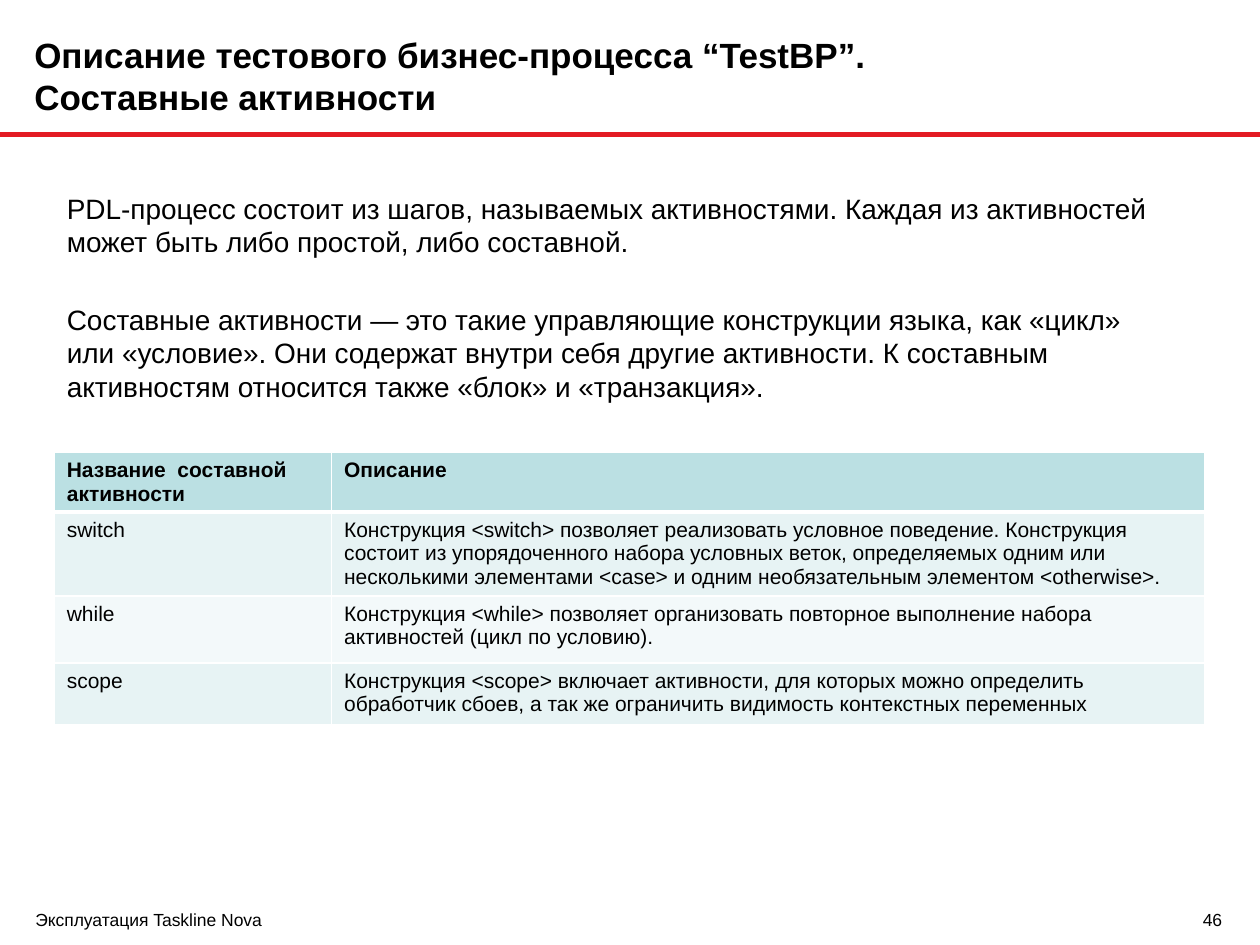
from lxml import etree
from pptx import Presentation
from pptx.dml.color import RGBColor
from pptx.enum.shapes import MSO_CONNECTOR
from pptx.enum.text import MSO_ANCHOR, MSO_AUTO_SIZE, PP_ALIGN
from pptx.oxml.ns import qn
from pptx.util import Pt

STRAIGHT = MSO_CONNECTOR.STRAIGHT
MIDDLE, BOTTOM = MSO_ANCHOR.MIDDLE, MSO_ANCHOR.BOTTOM
LEFT, RIGHT = PP_ALIGN.LEFT, PP_ALIGN.RIGHT
NO_AUTOFIT = MSO_AUTO_SIZE.NONE

FONT = "Arial"
COLORS = {
    "text": "000000",
    "rule": "E31B23",
    "border": "FFFFFF",
    "header": "BBE0E3",
    "odd_row": "E7F3F4",
    "even_row": "F3F9FA",
}

TITLE = "Описание тестового бизнес-процесса “TestBP”. \vСоставные активности"
BODY = [
    "PDL-процесс состоит из шагов, называемых активностями. Каждая из активностей "
    "может быть либо простой, либо составной.",
    "Составные активности — это такие управляющие конструкции языка, как «цикл» "
    "или «условие». Они содержат внутри себя другие активности. К составным "
    "активностям относится также «блок» и «транзакция».",
]
ACTIVITIES = [
    ("Название  составной активности", "Описание"),
    ("switch",
     "Конструкция <switch> позволяет реализовать условное поведение. Конструкция "
     "состоит из упорядоченного набора условных веток, определяемых одним или "
     "несколькими элементами <case> и одним необязательным элементом <otherwise>."),
    ("while",
     "Конструкция <while> позволяет организовать повторное выполнение набора "
     "активностей (цикл по условию)."),
    ("scope",
     "Конструкция <scope> включает активности, для которых можно определить "
     "обработчик сбоев, а так же ограничить видимость контекстных переменных"),
]
COLUMN_SHARES = [0.241, 0.759]
ROW_HEIGHTS = [33.8, 48, 38.2, 35.3]


def color(name):
    return RGBColor.from_string(COLORS[name])


def place(shape, box):
    shape.left, shape.top, shape.width, shape.height = (Pt(length) for length in box)


def format_text(text_frame, size, bold=False, align=LEFT):
    for paragraph in text_frame.paragraphs:
        paragraph.alignment = align
        for run in paragraph.runs:
            run.font.name = FONT
            run.font.size = Pt(size)
            run.font.bold = bold
            run.font.color.rgb = color("text")


def set_frame(text_frame, anchor):
    text_frame.word_wrap = True
    text_frame.auto_size = NO_AUTOFIT
    text_frame.vertical_anchor = anchor
    text_frame.margin_left = text_frame.margin_right = 0
    text_frame.margin_top = text_frame.margin_bottom = 0


def add_title(slide, box):
    title = slide.shapes.title
    place(title, box)
    title.text_frame.text = TITLE
    set_frame(title.text_frame, MIDDLE)
    format_text(title.text_frame, 20, bold=True)


def add_rule(slide, left, top, width):
    rule = slide.shapes.add_connector(STRAIGHT, Pt(left), Pt(top), Pt(left + width), Pt(top))
    rule.line.color.rgb = color("rule")
    rule.line.width = Pt(3)
    etree.SubElement(rule._element.spPr, qn("a:effectLst"))


def add_body(slide, box):
    body = slide.placeholders[1]
    place(body, box)
    text_frame = body.text_frame
    text_frame.text = "\n".join(BODY)
    text_frame.auto_size = NO_AUTOFIT
    format_text(text_frame, 16)
    for index, paragraph in enumerate(text_frame.paragraphs):
        paragraph.space_before = Pt(25 * index)
        properties = paragraph._p.get_or_add_pPr()
        properties.set("marL", "0")
        properties.set("indent", "0")
        etree.SubElement(properties, qn("a:buNone"))


def set_borders(cell, bottom_width):
    properties = cell._tc.get_or_add_tcPr()
    for side, width in (("L", 1), ("R", 1), ("T", 1), ("B", bottom_width)):
        line = etree.SubElement(properties, qn(f"a:ln{side}"), w=str(Pt(width)))
        fill = etree.SubElement(line, qn("a:solidFill"))
        etree.SubElement(fill, qn("a:srgbClr"), val=COLORS["border"])


def add_activity_table(slide, box):
    left, top, width, height = (Pt(length) for length in box)
    table = slide.shapes.add_table(
        len(ACTIVITIES), len(COLUMN_SHARES), left, top, width, height).table
    for column, share in zip(table.columns, COLUMN_SHARES):
        column.width = int(width * share)
    for row_index, (row, texts) in enumerate(zip(table.rows, ACTIVITIES)):
        row.height = Pt(ROW_HEIGHTS[row_index])
        is_header = row_index == 0
        fill = "header" if is_header else ("even_row", "odd_row")[row_index % 2]
        for cell, text in zip(row.cells, texts):
            cell.text_frame.text = text
            format_text(cell.text_frame, 12, bold=is_header)
            set_borders(cell, 3 if is_header else 1)
            cell.fill.solid()
            cell.fill.fore_color.rgb = color(fill)


def add_footer(slide, box, number_width):
    left, top, width, height = box
    parts = [
        ("Эксплуатация Taskline Nova", left, width - number_width, LEFT),
        ("46", left + width - number_width, number_width, RIGHT),
    ]
    for text, part_left, part_width, align in parts:
        text_box = slide.shapes.add_textbox(Pt(part_left), Pt(top), Pt(part_width), Pt(height))
        text_box.text_frame.text = text
        set_frame(text_box.text_frame, BOTTOM)
        format_text(text_box.text_frame, 10, align=align)


def main():
    presentation = Presentation()
    presentation.slide_width, presentation.slide_height = Pt(720), Pt(540)
    slide = presentation.slides.add_slide(presentation.slide_layouts[1])
    add_rule(slide, 0, 77, 720)
    add_title(slide, (19.6, 9.4, 607, 67.7))
    add_footer(slide, (20.2, 514, 678.2, 17.3), 31)
    add_activity_table(slide, (31, 258.5, 657.4, sum(ROW_HEIGHTS)))
    add_body(slide, (31, 105.8, 640.8, 131))
    presentation.save("out.pptx")


if __name__ == "__main__":
    main()
